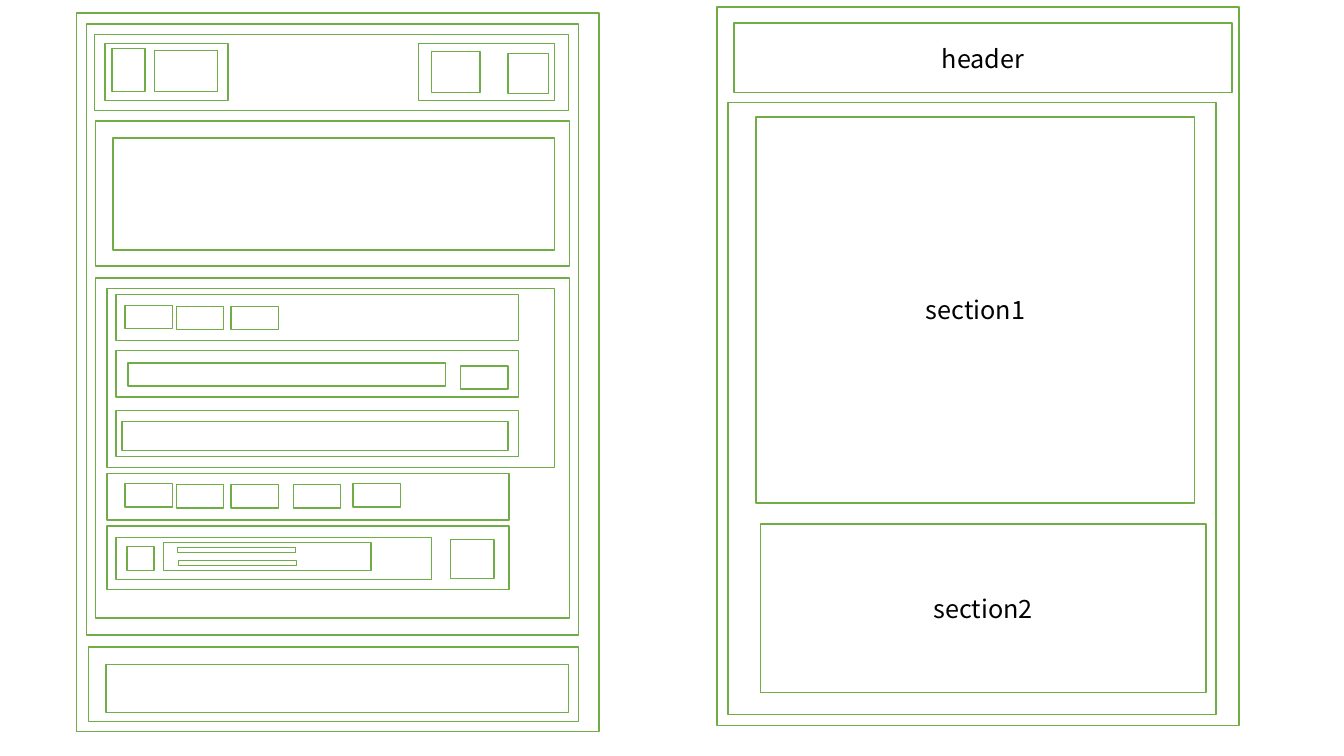
from pptx import Presentation
from pptx.dml.color import RGBColor
from pptx.enum.shapes import MSO_SHAPE
from pptx.enum.text import MSO_ANCHOR, PP_ALIGN
from pptx.util import Inches, Pt

RECT = MSO_SHAPE.RECTANGLE
MIDDLE = MSO_ANCHOR.MIDDLE
CENTER = PP_ALIGN.CENTER
GREEN = RGBColor(0x70, 0xAD, 0x47)
WHITE = RGBColor(0xFF, 0xFF, 0xFF)
BLACK = RGBColor(0x00, 0x00, 0x00)
FONT = "Noto Sans CJK KR"

PAGE = (5.18, 7.13)  # outer frame of both wireframes
ROW = (3.99, 0.46)   # full-width row
CHIP = (0.47, 0.23)  # small button

prs = Presentation()
prs.slide_width = Inches(13.33)
prs.slide_height = Inches(7.5)
slide = prs.slides.add_slide(prs.slide_layouts[6])


def add_box(left, top, width, height, label=""):
    box = slide.shapes.add_shape(
        RECT, Inches(left), Inches(top), Inches(width), Inches(height))
    box.shadow.inherit = False
    box.fill.solid()
    box.fill.fore_color.rgb = WHITE
    box.line.color.rgb = GREEN
    box.line.width = Pt(1)
    if label:
        frame = box.text_frame
        frame.word_wrap = True
        frame.vertical_anchor = MIDDLE
        para = frame.paragraphs[0]
        para.text = label
        para.alignment = CENTER
        para.font.name = FONT
        para.font.size = Pt(18)
        para.font.color.rgb = BLACK


# Left wireframe: page, body and its bands
add_box(0.76, 0.13, *PAGE)
add_box(0.86, 0.24, 4.88, 6.06)
for top, height in [(0.34, 0.76), (1.2, 1.44), (2.76, 3.37)]:
    add_box(0.94 if top < 1 else 0.95, top, 4.7, height)

# Header: logo group and button group
for box in [
    (1.04, 0.43, 1.22, 0.57), (1.11, 0.48, 0.33, 0.43), (1.53, 0.5, 0.63, 0.41),
    (4.15, 0.43, 1.35, 0.57), (4.28, 0.51, 0.48, 0.41), (5.04, 0.53, 0.4, 0.4),
]:
    add_box(*box)

# Banner
add_box(1.12, 1.37, 4.38, 1.11)

# Search panel: three rows with their fields
add_box(1.06, 2.86, 4.44, 1.78)
for top in (2.92, 3.48, 4.07):
    add_box(1.15, top, *ROW)
add_box(1.27, 3.6, 3.15, 0.23)
add_box(4.57, 3.63, *CHIP)
add_box(1.21, 4.18, 3.83, 0.29)

# Filter row, then the chips of both rows
add_box(1.06, 4.7, *ROW)
for left, top in [
    (1.24, 3.03), (1.75, 3.04), (2.29, 3.04),
    (1.24, 4.8), (1.75, 4.81), (2.29, 4.81), (2.91, 4.81), (3.5, 4.8),
]:
    add_box(left, top, *CHIP)

# List item: card, icon, text lines and button
for box in [
    (1.06, 5.22, 3.99, 0.63), (1.15, 5.33, 3.13, 0.42), (4.47, 5.35, 0.43, 0.39),
    (1.26, 5.42, 0.27, 0.24), (1.62, 5.38, 2.06, 0.28),
    (1.76, 5.43, 1.17, 0.05), (1.77, 5.56, 1.17, 0.05),
]:
    add_box(*box)

# Footer
add_box(0.88, 6.42, 4.86, 0.74)
add_box(1.05, 6.59, 4.59, 0.48)

# Right wireframe: page, header and sections
add_box(7.11, 0.07, *PAGE)
add_box(7.28, 0.23, 4.94, 0.69, "header")
add_box(7.22, 1.02, 4.84, 6.07)
add_box(7.5, 1.16, 4.35, 3.83, "section1")
add_box(7.54, 5.2, 4.42, 1.67, "section2")

prs.save("out.pptx")
